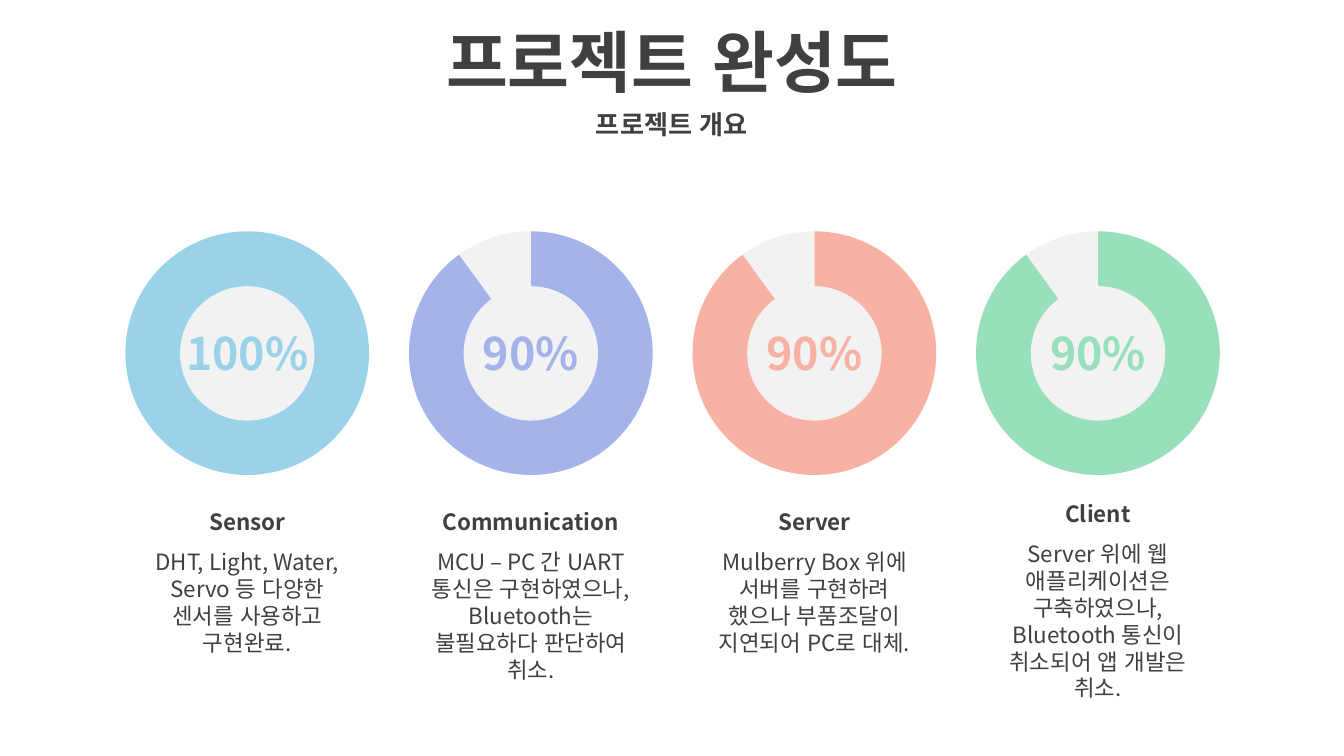
from collections import namedtuple

from lxml import etree
from pptx import Presentation
from pptx.chart.data import CategoryChartData
from pptx.dml.color import RGBColor
from pptx.enum.chart import XL_CHART_TYPE as ChartType
from pptx.enum.lang import MSO_LANGUAGE_ID as Language
from pptx.enum.shapes import MSO_SHAPE as Shape
from pptx.enum.text import MSO_ANCHOR as Anchor, MSO_AUTO_SIZE as AutoSize, PP_ALIGN as Align
from pptx.oxml import parse_xml
from pptx.oxml.ns import nsdecls, qn
from pptx.util import Inches, Pt

SKY = RGBColor(0x9A, 0xD3, 0xE9)
PERIWINKLE = RGBColor(0xA4, 0xB4, 0xEA)
CORAL = RGBColor(0xF8, 0xB2, 0xA3)
MINT = RGBColor(0x98, 0xDF, 0xBB)
PALE = RGBColor(0xF2, 0xF2, 0xF2)
INK = RGBColor(0x40, 0x40, 0x40)
BLACK = RGBColor(0, 0, 0)

Part = namedtuple("Part", "name percent color label_top lines summary")
PARTS = [
    Part("Sensor", 100, SKY, 3.73, 4,
         "DHT, Light, Water, Servo 등 다양한 센서를 사용하고 구현완료."),
    Part("Communication", 90, PERIWINKLE, 3.73, 5,
         "MCU – PC 간 UART 통신은 구현하였으나, Bluetooth는 불필요하다 판단하여 취소."),
    Part("Server", 90, CORAL, 3.73, 4,
         "Mulberry Box 위에 서버를 구현하려 했으나 부품조달이 지연되어 PC로 대체."),
    Part("Client", 90, MINT, 3.67, 6,
         "Server 위에 웹 애플리케이션은 구축하였으나, Bluetooth 통신이 취소되어 앱 개발은 취소."),
]

FIRST_CENTER, PITCH = 1.84, 2.11
RING_WIDTH, RING_HEIGHT, RING_TOP = 1.82, 1.88, 1.68
HUB_SIZE, HUB_TOP = 1, 2.13
PERCENT_WIDTH, LABEL_WIDTH, LABEL_HEIGHT = 1.2, 1.68, 0.3

PLOT_LAYOUT = (
    f'<c:layout {nsdecls("c")}><c:manualLayout><c:layoutTarget val="inner"/>'
    '<c:xMode val="edge"/><c:yMode val="edge"/><c:x val="0"/><c:y val="0.022"/>'
    '<c:w val="1"/><c:h val="0.965"/></c:manualLayout></c:layout>'
)


class SlideBuilder:
    text_font = "Noto Sans CJK KR"
    chart_font = "Arial"

    def __init__(self, slide):
        self.slide = slide

    def text(self, box, words, size, color=INK, bold=False, anchor=Anchor.TOP, grow=True):
        frame = self.slide.shapes.add_textbox(*map(Inches, box)).text_frame
        frame.word_wrap = True
        frame.auto_size = AutoSize.SHAPE_TO_FIT_TEXT if grow else AutoSize.NONE
        frame.vertical_anchor = anchor
        frame.text = words
        paragraph = frame.paragraphs[0]
        paragraph.alignment = Align.CENTER
        font = paragraph.runs[0].font
        font.name, font.size, font.bold = self.text_font, Pt(size), bold
        font.color.rgb = color
        font.language_id = Language.KOREAN
        east_asian = etree.SubElement(font._element, qn("a:ea"))
        east_asian.set("typeface", self.text_font)

    def ring(self, box, percent, color):
        """Doughnut chart showing the finished share in color."""
        shares = CategoryChartData()
        shares.categories = ["1", "2"]
        shares.add_series("Series 1", (percent, 100 - percent))
        chart = self.slide.shapes.add_chart(
            ChartType.DOUGHNUT, *map(Inches, box), shares).chart
        chart.has_legend = chart.has_title = False
        chart.font.name, chart.font.size = self.chart_font, Pt(18)
        chart.font.color.rgb = BLACK

        plot = chart.plots[0]
        plot.vary_by_categories = True
        for index, fill_color in enumerate((color, PALE)):
            slice_format = plot.series[0].points[index].format
            slice_format.fill.solid()
            slice_format.fill.fore_color.rgb = fill_color
            slice_format.line.fill.background()

        plot_area = chart._chartSpace.find(".//" + qn("c:plotArea"))
        for layout in plot_area.findall(qn("c:layout")):
            plot_area.remove(layout)
        plot_area.insert(0, parse_xml(PLOT_LAYOUT))
        plot_area.find(".//" + qn("c:holeSize")).set("val", "75")

    def hub(self, box):
        disc = self.slide.shapes.add_shape(Shape.OVAL, *map(Inches, box))
        disc.shadow.inherit = False
        disc.fill.solid()
        disc.fill.fore_color.rgb = PALE
        disc.line.fill.background()

    def gauge(self, center, part):
        """Ring, percentage, label and summary of one project part."""
        def centered(width, top, height):
            return center - width / 2, top, width, height

        self.ring(centered(RING_WIDTH, RING_TOP, RING_HEIGHT), part.percent, part.color)
        self.hub(centered(HUB_SIZE, HUB_TOP, HUB_SIZE))
        self.text(centered(PERCENT_WIDTH, 2.37, 0.5), f"{part.percent}%", 24,
                  part.color, bold=True, anchor=Anchor.MIDDLE)
        self.text(centered(LABEL_WIDTH, part.label_top, LABEL_HEIGHT),
                  part.name, 12, bold=True)
        self.text(centered(LABEL_WIDTH, part.label_top + LABEL_HEIGHT,
                           0.11 + 0.2 * part.lines), part.summary, 12)


def main():
    deck = Presentation()
    deck.slide_width = Inches(10)
    deck.slide_height = deck.slide_width * 9 // 16
    builder = SlideBuilder(deck.slides.add_slide(deck.slide_layouts[6]))

    for index, part in enumerate(PARTS):
        builder.gauge(FIRST_CENTER + index * PITCH, part)
    builder.text((0, 0.14, 10, 0.63), "프로젝트 완성도", 36, bold=True,
                 anchor=Anchor.MIDDLE, grow=False)
    builder.text((0, 0.77, 10, 0.31), "프로젝트 개요", 14, bold=True,
                 anchor=Anchor.MIDDLE, grow=False)

    deck.save("out.pptx")


if __name__ == "__main__":
    main()
